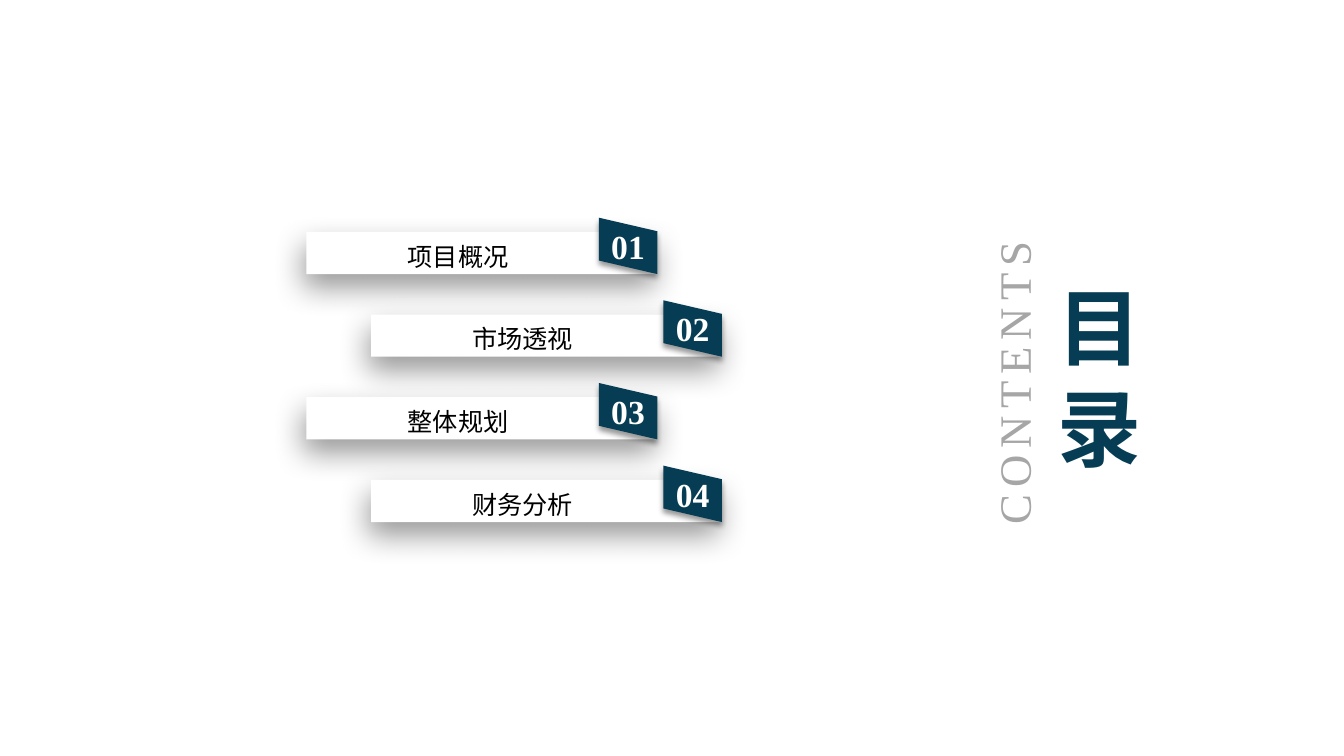
from lxml import etree
from pptx import Presentation
from pptx import util as u
from pptx.dml.color import RGBColor
from pptx.enum import shapes, text
from pptx.oxml import ns

NAVY = RGBColor(0x06, 0x3D, 0x54)
GREY = RGBColor(0xA6, 0xA6, 0xA6)
WHITE = RGBColor(0xFF, 0xFF, 0xFF)
BLACK = RGBColor(0x00, 0x00, 0x00)
CJK_FONT = "Noto Sans CJK SC"
TOPICS = ["项目概况", "市场透视", "整体规划", "财务分析"]
FIRST_LEFT, FIRST_TOP = 218.9, 165.6
INDENT, STEP = 46.1, 59.04
BAR_WIDTH, BAR_HEIGHT = 250.6, 30.2
TAG_WIDTH, TAG_SIDE, TAG_SLOPE = 41.8, 30.6, 9.7


def apply(target, values):
    """Set each attribute of target from a dict."""
    for name, value in values.items():
        setattr(target, name, value)


def cast_shadow(effects, blur, distance, angle):
    """Add a soft black outer shadow to an effect list."""
    shadow = etree.SubElement(effects, ns.qn("a:outerShdw"), {
        "blurRad": str(u.Pt(blur)), "dist": str(u.Pt(distance)),
        "dir": str(angle * 60000), "algn": "t", "rotWithShape": "0"})
    colour = etree.SubElement(shadow, ns.qn("a:srgbClr"), val="000000")
    etree.SubElement(colour, ns.qn("a:alpha"), val="40000")


def paint(shape, colour, blur, distance, angle):
    """Fill a shape without an outline and give it a shadow."""
    shape.fill.solid()
    shape.fill.fore_color.rgb = colour
    shape.line.fill.background()
    shape.shadow.inherit = False
    effects = shape._element.spPr.find(ns.qn("a:effectLst"))
    cast_shadow(effects, blur, distance, angle)


def write(shape, words, colour, font, frame=None, para=None):
    """Write one formatted paragraph and return its run."""
    apply(shape.text_frame, {"vertical_anchor": text.MSO_ANCHOR.MIDDLE,
                             "word_wrap": True, **(frame or {})})
    line = shape.text_frame.paragraphs[0]
    apply(line, {"alignment": text.PP_ALIGN.CENTER, **(para or {})})
    span = line.add_run()
    span.text = words
    span.font.color.rgb = colour
    apply(span.font, font)
    etree.SubElement(span.font._element, ns.qn("a:ea"), typeface=CJK_FONT)
    return span


def add_bar(page, left, top, topic):
    """Add the white bar that names a topic."""
    bar = page.shapes.add_shape(shapes.MSO_SHAPE.RECTANGLE, u.Pt(left), u.Pt(top),
                                u.Pt(BAR_WIDTH), u.Pt(BAR_HEIGHT))
    paint(bar, WHITE, 22, 10, 101)
    write(bar, topic, BLACK, {"size": u.Pt(18), "name": "Arial"},
          {"margin_left": u.Pt(8.6), "margin_right": u.Pt(42.5),
           "margin_top": 0, "margin_bottom": 0}, {"line_spacing": 1.2})


def add_tag(page, right, bottom, number):
    """Add the slanted number tag that ends at the bar's lower right corner."""
    left, top = right - TAG_WIDTH, bottom - TAG_SIDE - TAG_SLOPE
    corners = [(left, top + TAG_SIDE), (right, bottom), (right, top + TAG_SLOPE)]
    outline = page.shapes.build_freeform(u.Pt(left), u.Pt(top))
    outline.add_line_segments([(u.Pt(x), u.Pt(y)) for x, y in corners])
    tag = outline.convert_to_shape()
    paint(tag, NAVY, 4, 3, 90)
    write(tag, f"{number:02d}", WHITE,
          {"size": u.Pt(24), "name": "Times New Roman", "bold": True})


def add_caption(page):
    """Add the upward-running English caption."""
    box = page.shapes.add_textbox(u.Pt(587.5), u.Pt(249.8), u.Pt(272.2), u.Pt(47.5))
    box.rotation = 270
    span = write(box, "CONTENTS", GREY, {"size": u.Pt(32), "name": "Times New Roman"},
                 {"word_wrap": False})
    span.font._element.set("spc", "500")


def set_title(page):
    """Place the title in a narrow column with a text shadow."""
    title = page.shapes.title
    apply(title, {"left": u.Pt(748.1), "top": u.Pt(221.8),
                  "width": u.Pt(43.9), "height": u.Pt(94.3)})
    span = write(title, "目录", NAVY, {"size": u.Pt(60), "name": CJK_FONT, "bold": True},
                 {"auto_size": text.MSO_AUTO_SIZE.NONE},
                 {"alignment": text.PP_ALIGN.LEFT})
    effects = etree.Element(ns.qn("a:effectLst"))
    cast_shadow(effects, 3, 3, 45)
    span.font._element.find(ns.qn("a:solidFill")).addnext(effects)


def main():
    """Build the contents slide."""
    deck = Presentation()
    apply(deck, {"slide_width": u.Pt(960), "slide_height": u.Pt(540)})
    page = deck.slides.add_slide(deck.slide_layouts[5])
    for index, topic in enumerate(TOPICS):
        left = FIRST_LEFT + index % 2 * INDENT
        top = FIRST_TOP + index * STEP
        add_bar(page, left, top, topic)
        add_tag(page, left + BAR_WIDTH, top + BAR_HEIGHT, index + 1)
    add_caption(page)
    set_title(page)
    deck.save("out.pptx")


if __name__ == "__main__":
    main()
